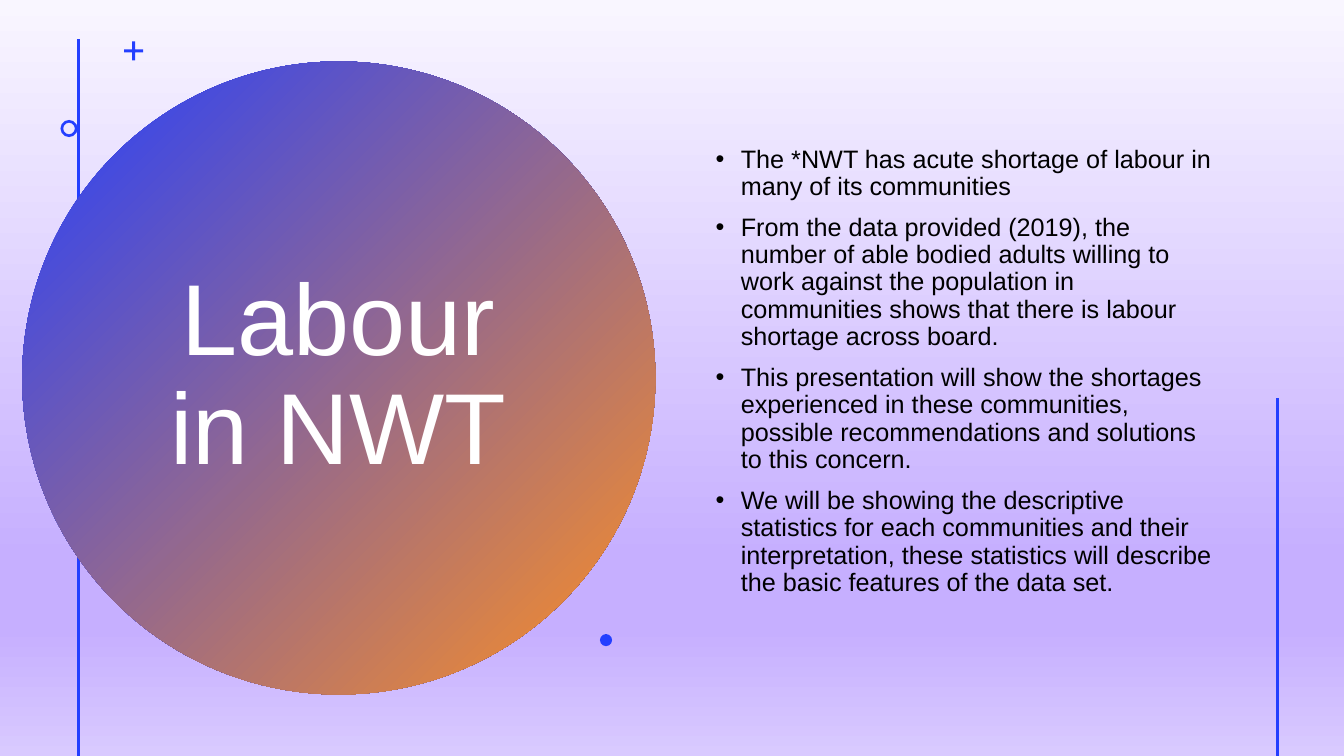
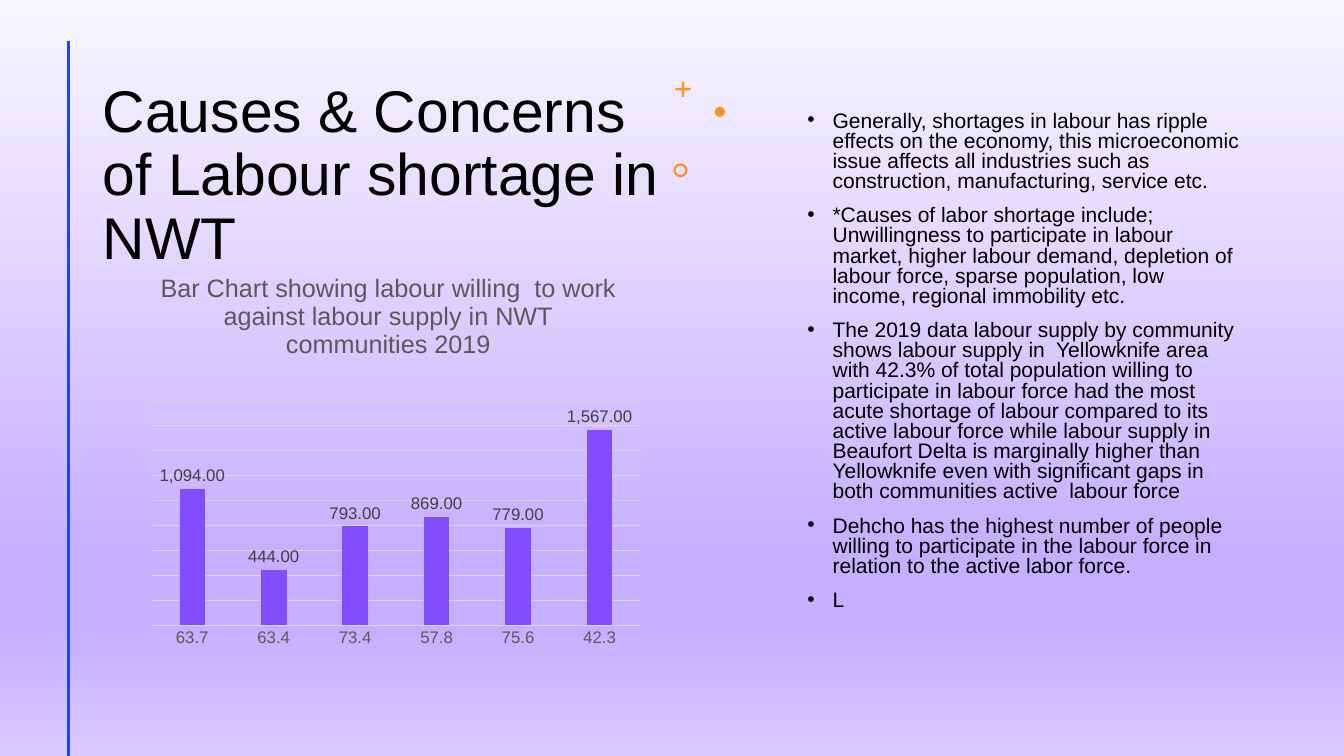
from pptx import Presentation
from pptx.chart.data import CategoryChartData
from pptx.dml.color import RGBColor
from pptx.enum.chart import XL_CHART_TYPE, XL_LABEL_POSITION, XL_TICK_MARK
from pptx.enum.shapes import MSO_CONNECTOR, MSO_SHAPE
from pptx.enum.text import MSO_ANCHOR, MSO_AUTO_SIZE, PP_ALIGN
from pptx.oxml import parse_xml
from pptx.oxml.ns import nsdecls, qn
from pptx.util import Inches, Pt

FONT = "Arial"
COLORS = {
    "blue": "243FFF", "orange": "FF9022", "violet": "814DFF",
    "white": "FFFFFF", "black": "000000",
    "pale": "F9F6FF", "lilac": "C6AFFF", "mist": "D9CAFF",
    "grid": "D9D9D9", "gray": "595959", "dark": "404040",
}
INK = {name: RGBColor.from_string(code) for name, code in COLORS.items()}

deck = Presentation()
deck.slide_width, deck.slide_height = Inches(13.33), Inches(7.5)
WIDE, HIGH = deck.slide_width, deck.slide_height


def area(left, top, width, height):
    """Turn percentages of the slide into lengths."""
    return [int(part * side / 100) for part, side in
            zip((left, top, width, height), (WIDE, HIGH, WIDE, HIGH))]


def shade(node, fill, stops, angle):
    """Give a fill a linear gradient of (percent, colour) stops."""
    fill.gradient()
    fill.gradient_angle = angle
    bands = next(node.iter(qn("a:gsLst")))
    bands.clear()
    for spot, name in stops:
        bands.append(parse_xml(
            f'<a:gs {nsdecls("a")} pos="{spot * 1000}">'
            f'<a:srgbClr val="{COLORS[name]}"/></a:gs>'))


# Shared background
master = deck.slide_master
shade(master.element, master.background.fill,
      [(0, "pale"), (74, "lilac"), (83, "lilac"), (100, "mist")], 270)

# Places and sizes are percentages; a mark is left, top and share of height
PLUS, RING, DOT = MSO_SHAPE.CROSS, MSO_SHAPE.DONUT, MSO_SHAPE.OVAL
ROUND = {PLUS: 0.42, RING: 0.16}
pages = [
    {
        "title": "Labour in NWT", "head": (10.2, 18.8, 29.93, 62.27),
        "look": (72, "white", PP_ALIGN.CENTER, MSO_ANCHOR.MIDDLE),
        "disc": (1.65, 8.13, 47.11, 83.73),
        "lines": [(5.85, 5.2), (95.05, 52.67)],
        "tint": "blue",
        "marks": [(PLUS, 9.23, 5.47, 2.53), (RING, 4.5, 15.87, 2.27),
                  (DOT, 44.64, 83.87, 1.6)],
        "body": (52.51, 5.6, 38.41, 87.07), "size": 18, "lead": 0.9,
        "points": [
            "The *NWT has acute shortage of labour in many of its communities",
            "From the data provided (2019), the number of able bodied adults "
            "willing to work against the population in communities shows that "
            "there is labour shortage across board.",
            "This presentation will show the shortages experienced in these "
            "communities, possible recommendations and solutions to this "
            "concern.",
            "We will be showing the descriptive statistics for each "
            "communities and their interpretation, these statistics will "
            "describe the basic features of the data set.",
        ],
    },
    {
        "title": "Causes & Concerns of Labour shortage in NWT",
        "head": (6.9, 10.13, 42.99, 32.4),
        "look": (42, "black", PP_ALIGN.LEFT, MSO_ANCHOR.TOP),
        "disc": None,
        "lines": [(5.1, 5.47)],
        "tint": "orange",
        "marks": [(PLUS, 50.26, 10.8, 2), (DOT, 53.19, 14.13, 1.33),
                  (RING, 50.11, 21.6, 1.87)],
        "body": (59.34, 12.8, 33.83, 70.13), "size": 15, "lead": 0.8,
        "points": [
            "Generally, shortages in labour has ripple effects on the "
            "economy, this microeconomic issue affects all industries such as "
            "construction, manufacturing, service etc.",
            "*Causes of labor shortage include; Unwillingness to participate "
            "in labour market, higher labour demand, depletion of labour "
            "force, sparse population, low income, regional immobility etc.",
            "The 2019 data labour supply by community shows labour supply in  "
            "Yellowknife area with 42.3% of total population willing to "
            "participate in labour force had the most acute shortage of "
            "labour compared to its active labour force while labour supply "
            "in Beaufort Delta is marginally higher than Yellowknife even "
            "with significant gaps in both communities active  labour force",
            "Dehcho has the highest number of people willing to participate "
            "in the labour force in relation to the active labor force.",
            "L",
        ],
    },
]

for page in pages:
    slide = deck.slides.add_slide(deck.slide_layouts[5])
    shapes = slide.shapes

    # Upright lines down to the slide's foot
    for left, top in page["lines"]:
        x, y, _, foot = area(left, top, 0, 100)
        line = shapes.add_connector(MSO_CONNECTOR.STRAIGHT, x, y, x, foot)
        line.line.color.rgb = INK["blue"]
        line.line.width = Pt(2)
        line.element.spPr.append(parse_xml(f'<a:effectLst {nsdecls("a")}/>'))

    # Large disc behind the title
    if page["disc"]:
        disc = shapes.add_shape(MSO_SHAPE.OVAL, *area(*page["disc"]))
        disc.shadow.inherit = False
        disc.line.fill.background()
        shade(disc.element, disc.fill, [(0, "blue"), (100, "orange")], 315)

    # Title, brought in front of the disc
    title = shapes.title
    title.element.getparent().append(title.element)
    title.left, title.top, title.width, title.height = area(*page["head"])
    size, color, align, anchor = page["look"]
    frame = title.text_frame
    frame.text = page["title"]
    frame.word_wrap = True
    frame.auto_size = MSO_AUTO_SIZE.NONE
    frame.vertical_anchor = anchor
    para = frame.paragraphs[0]
    para.alignment, para.line_spacing = align, 0.9
    font = para.runs[0].font
    font.name, font.size, font.color.rgb = FONT, Pt(size), INK[color]

    # Small marks
    for kind, left, top, share in page["marks"]:
        x, y, _, side = area(left, top, 0, share)
        mark = shapes.add_shape(kind, x, y, side, side)
        mark.shadow.inherit = False
        mark.fill.solid()
        mark.fill.fore_color.rgb = INK[page["tint"]]
        mark.line.fill.background()
        if kind in ROUND:
            mark.adjustments[0] = ROUND[kind]

    # Bulleted text
    frame = shapes.add_textbox(*area(*page["body"])).text_frame
    frame.word_wrap = True
    frame.vertical_anchor = MSO_ANCHOR.MIDDLE
    frame.text = "\n".join(page["points"])
    for para in frame.paragraphs:
        para.line_spacing, para.space_before = page["lead"], Pt(10)
        font = para.runs[0].font
        font.name, font.size = FONT, Pt(page["size"])
        font.color.rgb = INK["black"]
        props = para._p.get_or_add_pPr()
        props.set("marL", str(Inches(0.25)))
        props.set("indent", str(-Inches(0.25)))
        props.append(parse_xml(f'<a:buFont {nsdecls("a")} typeface="{FONT}"/>'))
        props.append(parse_xml(f'<a:buChar {nsdecls("a")} char="•"/>'))

# Column chart on the last slide
data = CategoryChartData()
data.categories = ["63.7", "63.4", "73.4", "57.8", "75.6", "42.3"]
data.add_series("Series 1", [1094, 444, 793, 869, 779, 1567])
chart = shapes.add_chart(XL_CHART_TYPE.COLUMN_CLUSTERED,
                         *area(6.9, 34.53, 43.81, 52.93), data).chart
chart.has_legend = False
chart.font.name, chart.font.size = FONT, Pt(10)
chart.font.color.rgb = INK["black"]

# Chart title
chart.has_title = True
frame = chart.chart_title.text_frame
frame.text = ("Bar Chart showing labour willing  to work\n"
              "against labour supply in NWT communities 2019")
for para in frame.paragraphs:
    font = para.runs[0].font
    font.name, font.size, font.bold = FONT, Pt(18), False
    font.color.rgb = INK["gray"]

# Columns and labels
plot = chart.plots[0]
plot.gap_width, plot.overlap, plot.vary_by_categories = 219, -27, False
bars = plot.series[0].format.fill
bars.solid()
bars.fore_color.rgb = INK["violet"]
plot.has_data_labels = True
labels = plot.data_labels
labels.show_value = True
labels.position = XL_LABEL_POSITION.OUTSIDE_END
labels.number_format, labels.number_format_is_linked = "#,##0.00", False

# Axes
cats, vals = chart.category_axis, chart.value_axis
cats.major_tick_mark = XL_TICK_MARK.NONE
vals.visible = False
vals.minimum_scale, vals.maximum_scale, vals.major_unit = 0, 1800, 200
vals.has_major_gridlines = True
for rule in (cats.format.line, vals.major_gridlines.format.line):
    rule.color.rgb, rule.width = INK["grid"], Pt(0.75)
for font, color in ((labels.font, "dark"), (cats.tick_labels.font, "gray")):
    font.name, font.size, font.color.rgb = FONT, Pt(12), INK[color]

# Fixed places of the chart title and the plot, as shares of the chart
for tag, index, target, spots in (
        ("c:title", 1, "", {"x": 0.11, "y": 0.02}),
        ("c:plotArea", 0, '<c:layoutTarget val="inner"/>',
         {"x": 0.1, "y": 0.35, "w": 0.83, "h": 0.56})):
    node = next(chart.element.iter(qn(tag)))
    for old in node.findall(qn("c:layout")):
        node.remove(old)
    modes = '<c:xMode val="edge"/><c:yMode val="edge"/>'
    sizes = "".join(f'<c:{key} val="{share}"/>' for key, share in spots.items())
    node.insert(index, parse_xml(
        f'<c:layout {nsdecls("c")}><c:manualLayout>{target}{modes}{sizes}'
        '</c:manualLayout></c:layout>'))

deck.save("out.pptx")
